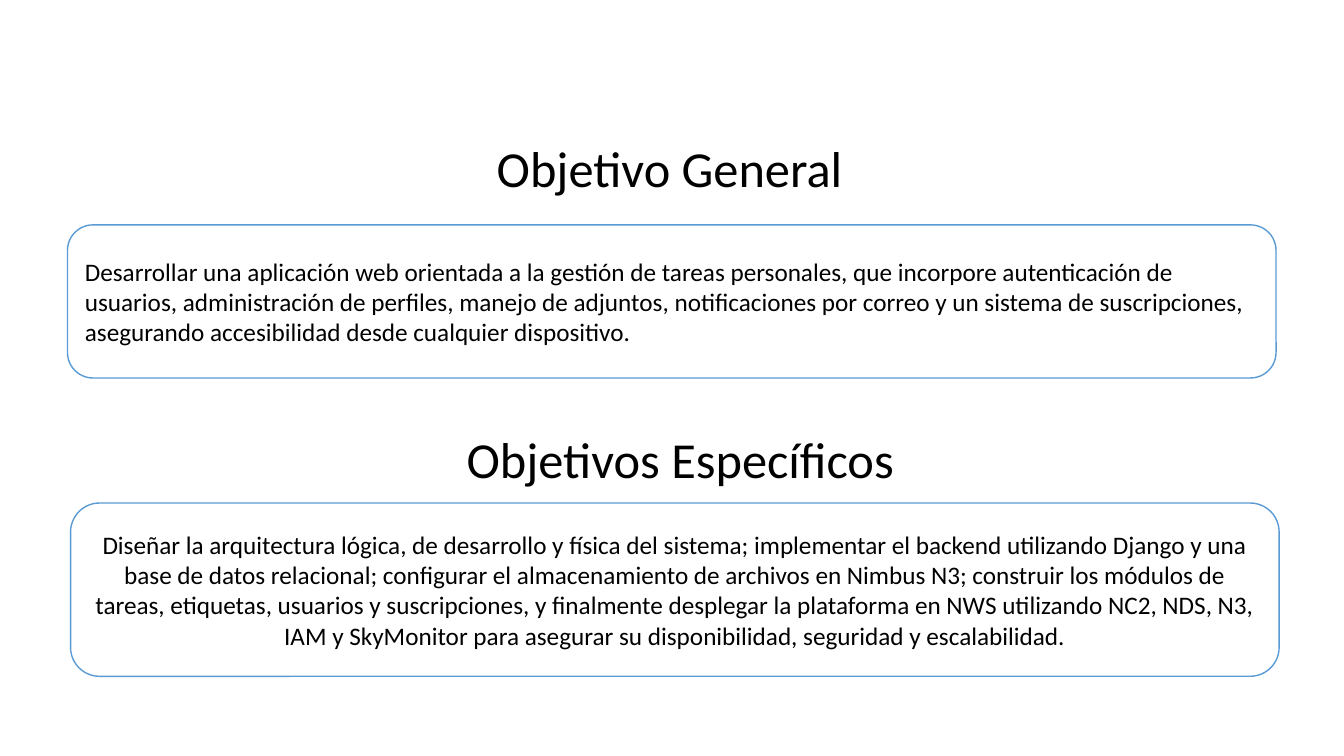
"""Build the slide with the general and specific objectives."""
import pptx
import pptx.dml.color
import pptx.enum.shapes
import pptx.enum.text
import pptx.util

Pt = pptx.util.Pt
Color = pptx.dml.color.RGBColor.from_string
Align = pptx.enum.text.PP_ALIGN
Anchor = pptx.enum.text.MSO_ANCHOR
Fit = pptx.enum.text.MSO_AUTO_SIZE

OBJECTIVES = [
    {
        "title": "Objetivo General ",
        "title_at": (12.2, 94.3),
        "body": "Desarrollar una aplicación web orientada a la gestión de tareas personales, "
                "que incorpore autenticación de usuarios, administración de perfiles, manejo de "
                "adjuntos, notificaciones por correo y un sistema de suscripciones, asegurando "
                "accesibilidad desde cualquier dispositivo.",
        "panel_at": (48.2, 160.6),
        "panel_height": 109.4,
        "align": Align.LEFT,
    },
    {
        "title": "Objetivos Específicos",
        "title_at": (15.8, 302.4),
        "body": "Diseñar la arquitectura lógica, de desarrollo y física del sistema; implementar "
                "el backend utilizando Django y una base de datos relacional; configurar el "
                "almacenamiento de archivos en Nimbus N3; construir los módulos de tareas, "
                "etiquetas, usuarios y suscripciones, y finalmente desplegar la plataforma en "
                "NWS utilizando NC2, NDS, N3, IAM y SkyMonitor para asegurar su disponibilidad, "
                "seguridad y escalabilidad.",
        "panel_at": (50.4, 359.3),
        "panel_height": 123.8,
        "align": Align.CENTER,
    },
]

SLIDE_SIZE = (960, 540)
TITLE_SIZE = (940.3, 51.1)
PANEL_WIDTH = 863.3

THEME = {
    "font": "Calibri",
    "text": "000000",
    "panel": "FFFFFF",
    "outline": "5B9BD5",
    "outline_width": 1,
    "corner": 0.167,
    "title_size": 36,
    "body_size": 18,
}


def write(shape, text, size, align, frame_format):
    """Put one formatted paragraph into a shape."""
    frame = shape.text_frame
    for name, value in {"word_wrap": True, **frame_format}.items():
        setattr(frame, name, value)
    para = frame.paragraphs[0]
    para.alignment = align
    span = para.add_run()
    span.text = text
    for name, value in {"name": THEME["font"], "size": Pt(size)}.items():
        setattr(span.font, name, value)
    span.font.color.rgb = Color(THEME["text"])


def add_panel(page, objective):
    """Draw the rounded panel with the objective's text."""
    bounds = (*objective["panel_at"], PANEL_WIDTH, objective["panel_height"])
    panel = page.shapes.add_shape(
        pptx.enum.shapes.MSO_SHAPE.ROUNDED_RECTANGLE, *map(Pt, bounds))
    panel.adjustments[0] = THEME["corner"]
    panel.shadow.inherit = False
    panel.fill.solid()
    panel.fill.fore_color.rgb = Color(THEME["panel"])
    panel.line.color.rgb = Color(THEME["outline"])
    panel.line.width = Pt(THEME["outline_width"])
    write(panel, objective["body"], THEME["body_size"], objective["align"],
          {"vertical_anchor": Anchor.MIDDLE})


def add_title(page, objective):
    """Place the heading above a panel."""
    box = page.shapes.add_textbox(*map(Pt, (*objective["title_at"], *TITLE_SIZE)))
    write(box, objective["title"], THEME["title_size"], Align.CENTER,
          {"auto_size": Fit.SHAPE_TO_FIT_TEXT})


def main():
    """Assemble and save the deck."""
    deck = pptx.Presentation()
    deck.slide_width, deck.slide_height = map(Pt, SLIDE_SIZE)
    page = deck.slides.add_slide(deck.slide_layouts[6])
    for add_part in (add_panel, add_title):
        for objective in OBJECTIVES:
            add_part(page, objective)
    deck.save("out.pptx")


if __name__ == "__main__":
    main()
